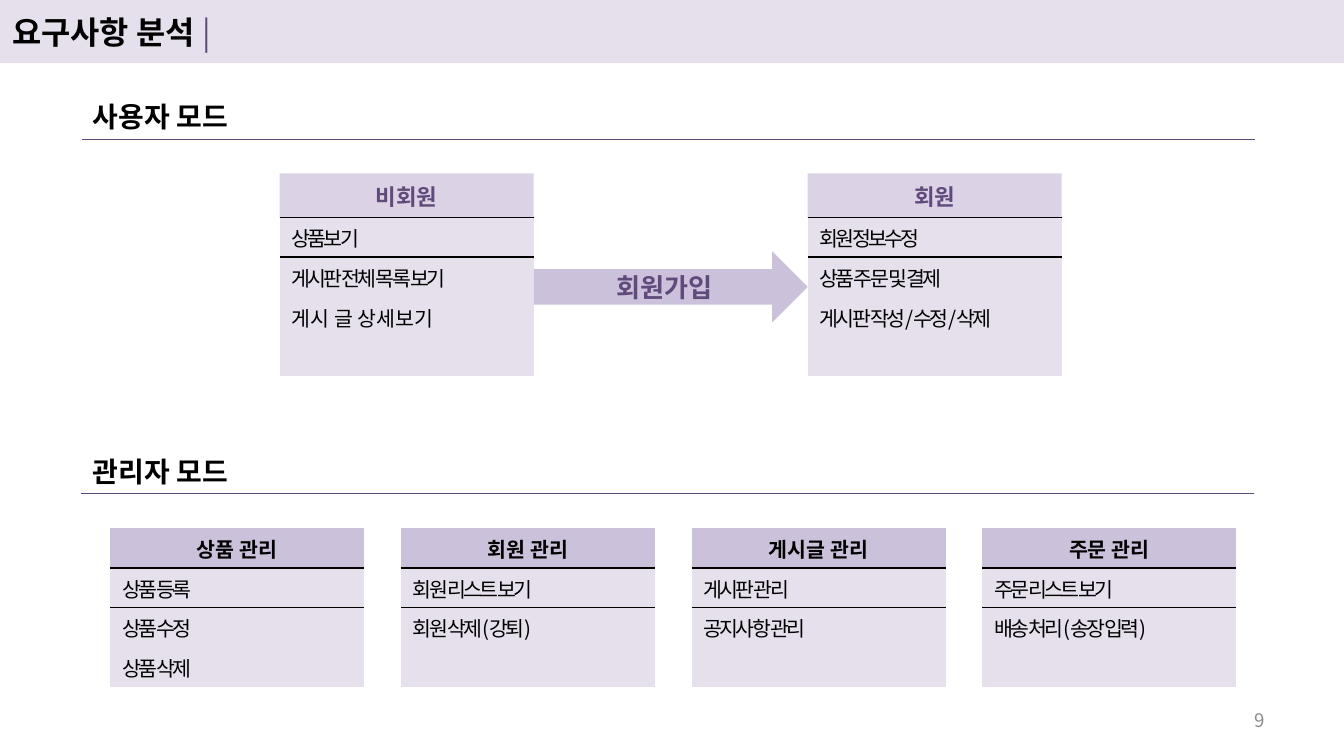
from dataclasses import dataclass

from lxml.etree import SubElement
from pptx import Presentation
from pptx.dml.color import RGBColor
from pptx.enum.shapes import MSO_CONNECTOR, MSO_SHAPE
from pptx.enum.text import MSO_ANCHOR, MSO_AUTO_SIZE, PP_ALIGN
from pptx.oxml import parse_xml
from pptx.oxml.ns import nsdecls, qn
from pptx.util import Emu, Inches, Pt


@dataclass(frozen=True)
class Theme:
    font: str = "Noto Sans CJK KR"
    ink: str = "000000"
    deep: str = "604A7B"
    mid: str = "CCC1DA"
    pale: str = "E6E0EC"
    gray: str = "8C8C8C"
    title: float = 17
    head: float = 15
    arrow: float = 14
    card: float = 12
    body: float = 11
    page: float = 10


@dataclass(frozen=True)
class Box:
    left: float
    top: float
    width: float
    height: float


@dataclass(frozen=True)
class Style:
    size: float
    color: str
    bold: bool = False
    space: int = 0


@dataclass(frozen=True)
class Card:
    left: float
    top: float
    head: str
    items: tuple[str, ...]
    rows: int
    first: float
    style: Style
    alpha: int = 100
    loose: str = ""


@dataclass(frozen=True)
class Section:
    name: str
    top: float
    left: float
    rule: float


THEME = Theme()
WIDE, HIGH = Inches(10), Inches(5.625)
CARD_W, ROW = 18.9, 5.24
USER_TOP, ADMIN_TOP = 22.93, 69.87
ADMIN_LEFT, PITCH = 8.2, 21.63
USER_LEFT, MEMBER_LEFT = 20.8, 60.1
PAD = dict(margin_left=Inches(0.09), margin_right=Inches(0.09),
           margin_top=Inches(0.04), margin_bottom=Inches(0.04))
TIGHT = Style(THEME.body, THEME.ink, space=-150)
LOOSE = Style(THEME.body, THEME.ink)
USER_HEAD = Style(THEME.card, THEME.deep, True)
ADMIN_HEAD = Style(THEME.body, THEME.ink, True)

SECTIONS = (
    Section("사용자 모드", 12.44, 6.1, 18.49),
    Section("관리자 모드", 59.38, 6.0, 65.3),
)
USERS = (
    (USER_LEFT, "비회원", ("상품보기", "게시판 전체 목록 보기", "게시 글 상세보기"), "게시 글 상세보기"),
    (MEMBER_LEFT, "회원", ("회원정보수정", "상품 주문 및 결제", "게시판 작성/수정/삭제"), ""),
)
ADMINS = (
    ("상품 관리", ("상품 등록", "상품 수정", "상품 삭제")),
    ("회원 관리", ("회원 리스트 보기", "회원 삭제(강퇴)")),
    ("게시글 관리", ("게시판 관리", "공지사항 관리")),
    ("주문 관리", ("주문 리스트 보기", "배송 처리(송장 입력)")),
)


def across(share: float) -> Emu:
    return Emu(round(WIDE * share / 100))


def down(share: float) -> Emu:
    return Emu(round(HIGH * share / 100))


def place(box: Box) -> tuple[Emu, Emu, Emu, Emu]:
    return across(box.left), down(box.top), across(box.width), down(box.height)


def apply(item, values: dict) -> None:
    for name, value in values.items():
        setattr(item, name, value)


def paint(item, color: str) -> None:
    item.fill.solid()
    item.fill.fore_color.rgb = RGBColor.from_string(color)


def write(para, text: str, style: Style) -> None:
    run = para.add_run()
    run.text = text
    apply(run.font, dict(name=THEME.font, size=Pt(style.size), bold=style.bold))
    run.font.color.rgb = RGBColor.from_string(style.color)
    props = run.font._element
    SubElement(props, qn("a:ea"), typeface=THEME.font)
    if style.space:
        props.set("spc", str(style.space))


def label(slide, box: Box, text: str, style: Style, **values) -> None:
    frame = slide.shapes.add_textbox(*place(box)).text_frame
    apply(frame, PAD | dict(word_wrap=True) | values)
    write(frame.paragraphs[0], text, style)


def banner(slide) -> None:
    title = slide.shapes.title
    apply(title, dict(zip(("left", "top", "width", "height"), place(Box(0, 0, 100, 8.36)))))
    paint(title, THEME.pale)
    apply(title.text_frame, PAD | dict(vertical_anchor=MSO_ANCHOR.MIDDLE,
                                       auto_size=MSO_AUTO_SIZE.NONE))
    para = title.text_frame.paragraphs[0]
    para.alignment = PP_ALIGN.LEFT
    write(para, "요구사항 분석 ", Style(THEME.title, THEME.ink, True))
    write(para, "|", Style(THEME.title, THEME.deep))


def arrow(slide) -> None:
    left = USER_LEFT + CARD_W
    box = Box(left, 33.24, MEMBER_LEFT - left, 9.42)
    shape = slide.shapes.add_shape(MSO_SHAPE.RIGHT_ARROW, *place(box))
    shape.shadow.inherit = False
    paint(shape, THEME.mid)
    shape.line.fill.background()
    apply(shape.text_frame, PAD | dict(vertical_anchor=MSO_ANCHOR.MIDDLE))
    para = shape.text_frame.paragraphs[0]
    para.alignment = PP_ALIGN.CENTER
    write(para, " 회원가입", Style(THEME.arrow, THEME.deep, True))


def section(slide, part: Section) -> None:
    label(slide, Box(6, part.top, 13, 6.04), part.name,
          Style(THEME.head, THEME.ink, True),
          word_wrap=False, auto_size=MSO_AUTO_SIZE.SHAPE_TO_FIT_TEXT)
    line = slide.shapes.add_connector(
        MSO_CONNECTOR.STRAIGHT, across(part.left), down(part.rule),
        across(part.left + 87.3), down(part.rule))
    line.line.width = Pt(0.75)
    line.line.color.rgb = RGBColor.from_string(THEME.deep)
    SubElement(line._element.spPr, qn("a:effectLst"))


def border(cell, side: str) -> None:
    cell._tc.get_or_add_tcPr().insert(0, parse_xml(
        f'<a:{side} {nsdecls("a")} w="12700"><a:solidFill>'
        f'<a:srgbClr val="{THEME.ink}"/></a:solidFill></a:{side}>'))


def card(slide, data: Card) -> None:
    box = Box(data.left, data.top, CARD_W, data.first + ROW * (data.rows - 1))
    frame = slide.shapes.add_table(data.rows, 1, *place(box))
    for style in frame._element.iter(qn("a:tableStyleId")):
        style.text = "{2D5ABB26-0587-4C30-8999-92F81FD0307C}"
    table = frame.table
    apply(table, dict(first_row=False, horz_banding=False))
    texts = (data.head, *data.items)
    for index, row in enumerate(table.rows):
        row.height = down(ROW if index else data.first)
        cell = row.cells[0]
        apply(cell, PAD | dict(vertical_anchor=MSO_ANCHOR.MIDDLE))
        paint(cell, THEME.pale if index else THEME.mid)
        para = cell.text_frame.paragraphs[0]
        if index >= len(texts):
            SubElement(para._p, qn("a:endParaRPr"), sz=str(THEME.body * 100))
        elif index:
            text = texts[index]
            write(para, text, LOOSE if text == data.loose else TIGHT)
        else:
            para.alignment = PP_ALIGN.CENTER
            write(para, data.head, data.style)
    head, first = table.cell(0, 0), table.cell(1, 0)
    border(head, "lnB")
    border(first, "lnT")
    if data.alpha < 100:
        for tint in head._tc.tcPr.findall(f'{qn("a:solidFill")}/{qn("a:srgbClr")}'):
            SubElement(tint, qn("a:alpha"), val=str(data.alpha * 1000))


def main() -> None:
    deck = Presentation()
    apply(deck, dict(slide_width=WIDE, slide_height=HIGH))
    slide = deck.slides.add_slide(deck.slide_layouts[5])
    banner(slide)
    arrow(slide)
    for part in SECTIONS:
        section(slide, part)
    for left, head, items, loose in USERS:
        card(slide, Card(left, USER_TOP, head, items, 5, 5.87, USER_HEAD, 70, loose))
    for index, (head, items) in enumerate(ADMINS):
        left = ADMIN_LEFT + index * PITCH
        card(slide, Card(left, ADMIN_TOP, head, items, 4, ROW, ADMIN_HEAD))
    label(slide, Box(71.7, 92.62, 23.3, 5.33), "9", Style(THEME.page, THEME.gray),
          vertical_anchor=MSO_ANCHOR.MIDDLE)
    slide.shapes[-1].text_frame.paragraphs[0].alignment = PP_ALIGN.RIGHT
    deck.save("out.pptx")


if __name__ == "__main__":
    main()
